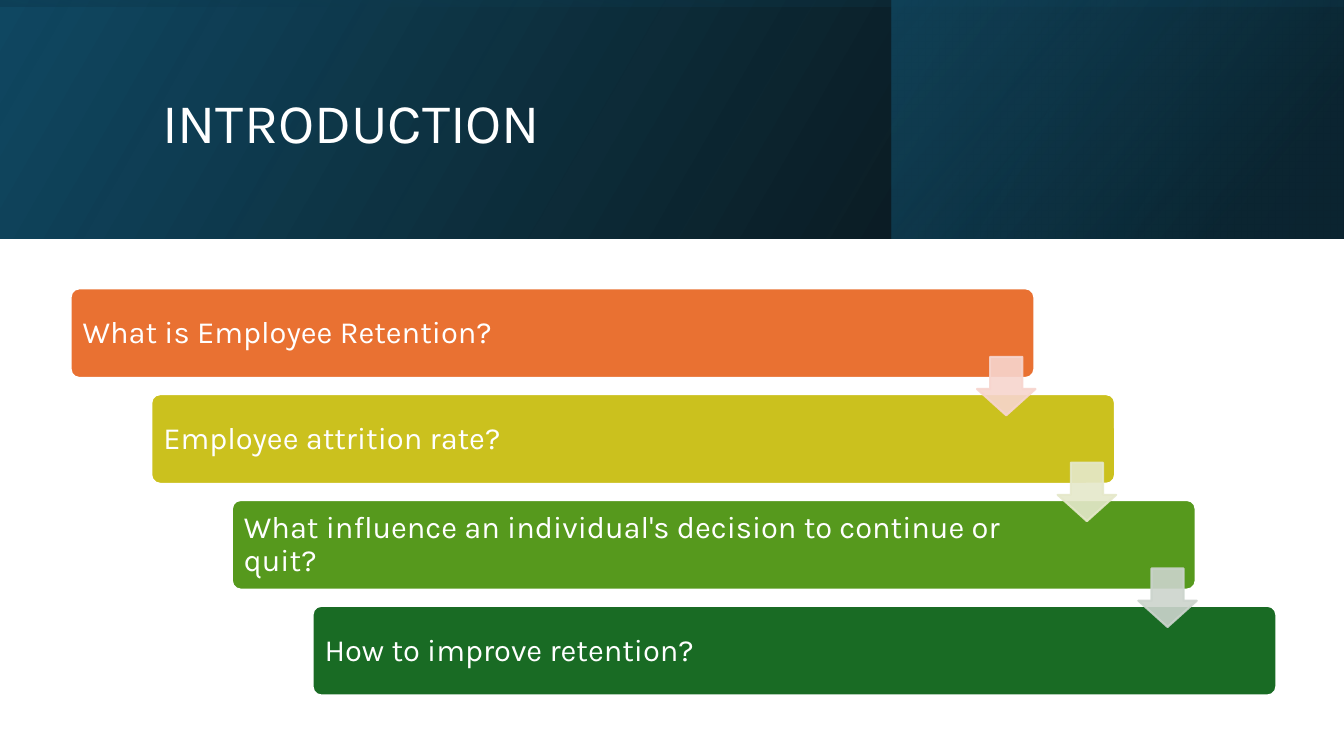
import pptx
import pptx.dml.color
import pptx.enum.shapes
import pptx.enum.text
import pptx.oxml.ns
import pptx.util
from lxml import etree

Inches = pptx.util.Inches
Pt = pptx.util.Pt
SHAPE = pptx.enum.shapes.MSO_SHAPE
qn = pptx.oxml.ns.qn

WHITE = "FFFFFF"


def rgb(value):
    return pptx.dml.color.RGBColor.from_string(value)


def set_attrs(obj, values):
    for name, value in values.items():
        setattr(obj, name, value)


class Deck:
    font = "Karla"
    text_color = WHITE
    line_width = 1.5

    def __init__(self, width, height):
        self.prs = pptx.Presentation()
        self.prs.slide_width = Inches(width)
        self.prs.slide_height = Inches(height)
        self.s = self.prs.slides.add_slide(self.prs.slide_layouts[6])

    def shape(self, kind, box, adj=()):
        sp = self.s.shapes.add_shape(kind, *map(Inches, box))
        sp.shadow.inherit = False
        for i, value in enumerate(adj):
            sp.adjustments[i] = value
        return sp

    def set_alpha(self, sp, alphas):
        colors = sp.element.spPr.iter(qn("a:srgbClr"))
        for color, alpha in zip(colors, alphas):
            etree.SubElement(color, qn("a:alpha"), val=str(alpha * 1000))

    def gradient_panel(self, box, stops, angle, rotation=0):
        sp = self.shape(SHAPE.RECTANGLE, box)
        sp.rotation = rotation
        sp.element.spPr.find(qn("a:xfrm")).set("flipH", "1")
        sp.line.fill.background()
        sp.fill.gradient()
        sp.fill.gradient_angle = angle
        for stop, (position, color, _) in zip(sp.fill.gradient_stops, stops):
            stop.position = position
            stop.color.rgb = rgb(color)
        self.set_alpha(sp, [alpha for _, _, alpha in stops])

    def solid(self, kind, box, adj, fill, line, alpha=100):
        sp = self.shape(kind, box, adj)
        sp.fill.solid()
        sp.fill.fore_color.rgb = rgb(fill)
        sp.line.color.rgb = rgb(line)
        sp.line.width = Pt(self.line_width)
        if alpha < 100:
            self.set_alpha(sp, [alpha, alpha])

    def text(self, box, text, size, inset=None):
        tf = self.s.shapes.add_textbox(*map(Inches, box)).text_frame
        frame = {"word_wrap": True,
                 "vertical_anchor": pptx.enum.text.MSO_ANCHOR.MIDDLE}
        if inset is not None:
            for side in ("left", "top", "right", "bottom"):
                frame["margin_" + side] = Inches(inset)
        set_attrs(tf, frame)
        p = tf.paragraphs[0]
        p.line_spacing = 0.9
        r = p.add_run()
        r.text = text
        set_attrs(r.font, {"name": self.font, "size": Pt(size)})
        r.font.color.rgb = rgb(self.text_color)


def main():
    deck = Deck(13.33, 7.5)

    # Header band: three layered gradients and the title
    deck.gradient_panel((0, 0, 13.33, 2.37),
                        [(0, "000000", 96), (1, "104862", 100)], 30)
    deck.gradient_panel((8.84, 0, 4.48, 2.37),
                        [(0.19, "0B3041", 68), (1, "156082", 48)], 40)
    deck.gradient_panel((5.48, -5.48, 2.37, 13.33),
                        [(0.23, "104862", 16), (0.99, "000000", 45)], 10, 270)
    deck.text((1.51, 0.38, 10.63, 1.72), "INTRODUCTION", 40)

    # Staircase of questions
    step_x, step_y = 0.8, 1.05
    questions = [
        ("What is Employee Retention?", "E97132"),
        ("Employee attrition rate?", "CBC11E"),
        ("What influence an individual's decision to continue or quit?",
         "56991D"),
        ("How to improve retention?", "196B24"),
    ]
    for i, (question, color) in enumerate(questions):
        x, y = 0.7 + i * step_x, 2.86 + i * step_y
        deck.solid(SHAPE.ROUNDED_RECTANGLE, (x, y, 9.56, 0.89), [0.1],
                   color, WHITE)
        deck.text((x + 0.03, y + 0.03, 8.13, 0.84), question, 22, 0.09)

    # Arrows from each question to the next
    for i, color in enumerate(["F7D5CE", "E5E8CA", "CCD4CD"]):
        box = (9.69 + i * step_x, 3.54 + i * step_y, 0.58, 0.58)
        deck.solid(SHAPE.DOWN_ARROW, box, [0.55, 0.45], color, color, 90)

    deck.prs.save("out.pptx")


if __name__ == "__main__":
    main()
